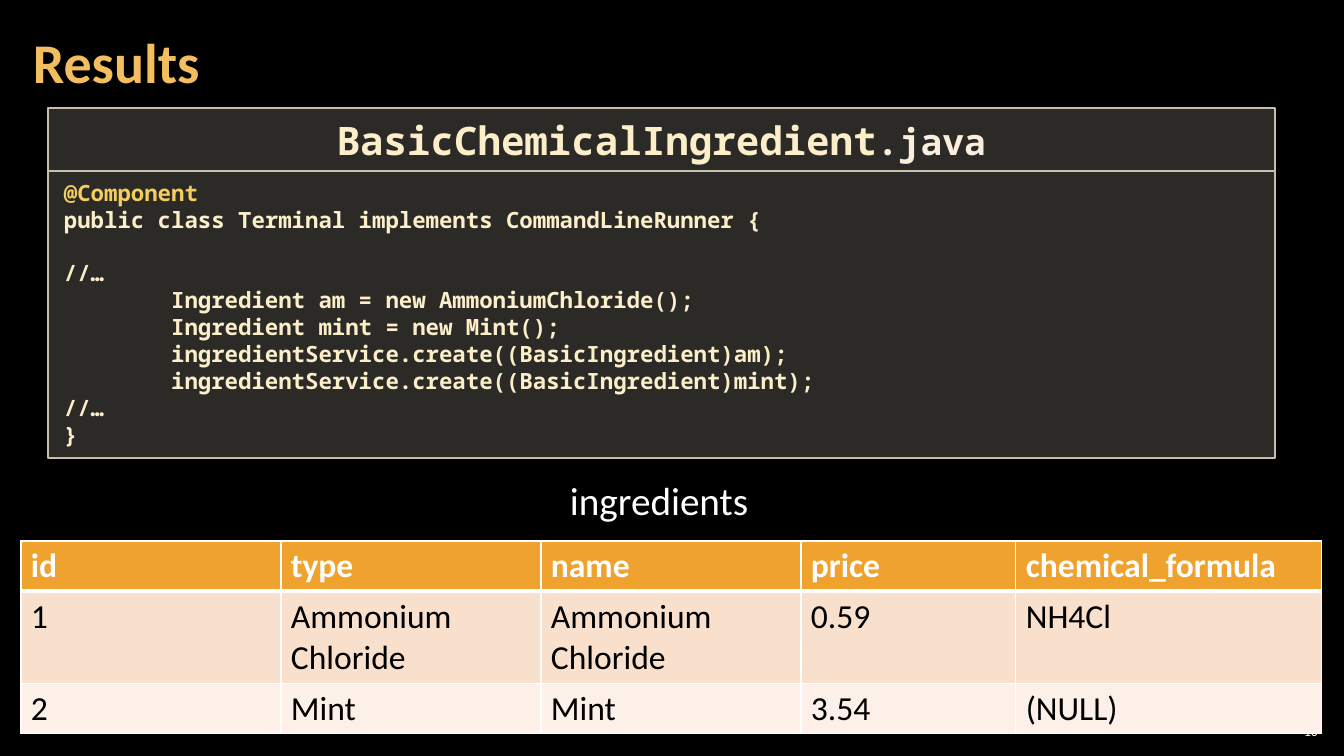
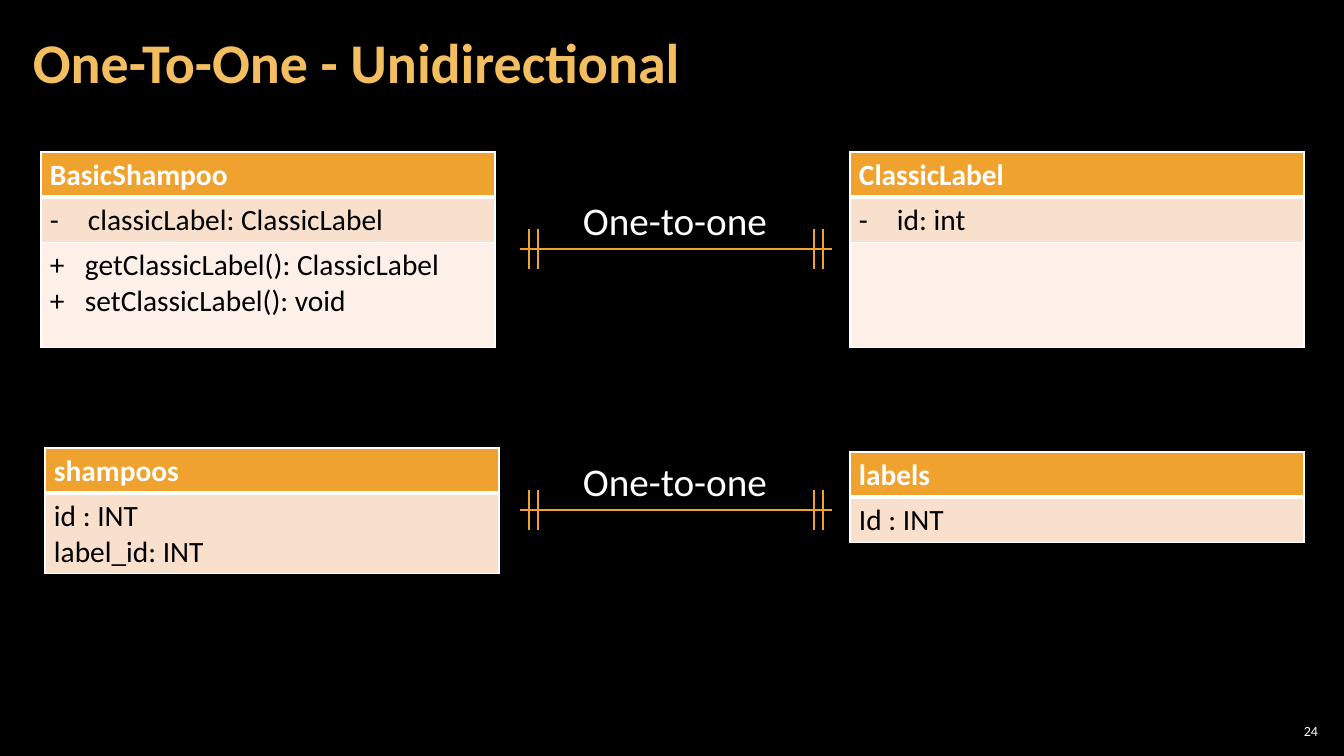
from lxml import etree
from pptx import Presentation
from pptx.dml.color import RGBColor
from pptx.enum.shapes import MSO_CONNECTOR, MSO_SHAPE
from pptx.enum.text import MSO_ANCHOR, PP_ALIGN
from pptx.oxml.ns import qn
from pptx.util import Emu, Pt

STRAIGHT, RECTANGLE = MSO_CONNECTOR.STRAIGHT, MSO_SHAPE.RECTANGLE
TOP, MIDDLE = MSO_ANCHOR.TOP, MSO_ANCHOR.MIDDLE
LEFT, CENTER, RIGHT = PP_ALIGN.LEFT, PP_ALIGN.CENTER, PP_ALIGN.RIGHT

WIDTH, HEIGHT = 1344, 756
EMU_PER_PX = 12192000 / WIDTH
SANS, MONO = "Calibri", "Noto Sans Mono"
COLORS = {
    "background": "000000", "white": "FFFFFF", "black": "000000",
    "title": "F3BE60", "accent": "F0A22E",
    "band_dark": "F9E0CD", "band_light": "FCF0E8",
    "panel": "D9D5C7", "panel_line": "C7BFAC",
    "code": "FBEEC9", "annotation": "F3CD60", "extension": "FBEEDC",
}
BULLET_INDENT = {"-": 38, "+": 35}


def px(length):
    return Emu(round(length * EMU_PER_PX))


def rgb(name):
    return RGBColor.from_string(COLORS[name])


class Deck:
    def __init__(self):
        self.prs = Presentation()
        self.prs.slide_width, self.prs.slide_height = px(WIDTH), px(HEIGHT)
        self.slide = None

    def new_slide(self, number):
        self.slide = self.prs.slides.add_slide(self.prs.slide_layouts[6])
        background = self.slide.background.fill
        background.solid()
        background.fore_color.rgb = rgb("background")
        self.text([str(number)], 1275, 720, 47, 21, size=10, align=RIGHT,
                  anchor=MIDDLE, margins=(4, 4))

    def style(self, font, size, color, bold=False, face=SANS):
        font.name, font.size, font.bold = face, Pt(size), bold
        font.color.rgb = rgb(color)

    def fill_text(self, frame, lines, size, color, bold=False, face=SANS, align=LEFT):
        """Fill a frame; a line is a string or a (bullet, string) pair."""
        for index, line in enumerate(lines):
            paragraph = frame.add_paragraph() if index else frame.paragraphs[0]
            if isinstance(line, tuple):
                bullet, line = line
                props = paragraph._p.get_or_add_pPr()
                indent = px(BULLET_INDENT[bullet])
                props.set("marL", str(indent))
                props.set("indent", str(-indent))
                etree.SubElement(props, qn("a:buFont")).set("typeface", SANS)
                etree.SubElement(props, qn("a:buChar")).set("char", bullet)
            paragraph.text = line
            paragraph.alignment = align
            self.style(paragraph.font, size, color, bold, face)

    def set_margins(self, frame, across, down):
        frame.margin_left = frame.margin_right = px(across)
        frame.margin_top = frame.margin_bottom = px(down)

    def text(self, lines, x, y, w, h, size=28, color="white", bold=False,
             align=LEFT, anchor=TOP, margins=(10, 5), wrap=True):
        frame = self.slide.shapes.add_textbox(px(x), px(y), px(w), px(h)).text_frame
        frame.word_wrap, frame.vertical_anchor = wrap, anchor
        self.set_margins(frame, *margins)
        self.fill_text(frame, lines, size, color, bold, align=align)
        return frame

    def title(self, title):
        frame = self.text([title], 21, 4, 1055, 122, size=40, color="title",
                          bold=True, anchor=MIDDLE, margins=(12, 4))
        frame.paragraphs[0].line_spacing = 0.9

    def panel(self, x, y, w, h):
        """Add a translucent code panel and return its text frame."""
        shape = self.slide.shapes.add_shape(RECTANGLE, px(x), px(y), px(w), px(h))
        shape.shadow.inherit = False
        shape.fill.solid()
        shape.fill.fore_color.rgb = rgb("panel")
        color = shape._element.spPr.find(qn("a:solidFill"))[0]
        etree.SubElement(color, qn("a:alpha")).set("val", "20000")
        shape.line.color.rgb = rgb("panel_line")
        shape.line.width = Pt(1)
        frame = shape.text_frame
        frame.word_wrap, frame.vertical_anchor = True, TOP
        self.set_margins(frame, 16, 8)
        return frame

    def line(self, x1, y1, x2, y2):
        line = self.slide.shapes.add_connector(STRAIGHT, px(x1), px(y1), px(x2), px(y2))
        line.line.color.rgb = rgb("accent")
        line.line.width = Pt(2)
        etree.SubElement(line._element.spPr, qn("a:effectLst"))

    def borders(self, cell, row):
        """Thin white borders, with a thick rule under the header."""
        widths = {"L": 1, "R": 1, "T": 3 if row == 1 else 1, "B": 3 if row == 0 else 1}
        for side, width in widths.items():
            edge = etree.SubElement(cell._tc.get_or_add_tcPr(), qn(f"a:ln{side}"))
            edge.set("w", str(Pt(width)))
            fill = etree.SubElement(edge, qn("a:solidFill"))
            etree.SubElement(fill, qn("a:srgbClr")).set("val", COLORS["white"])

    def table(self, rows, x, y, widths, heights, size, margins):
        """Each row holds cells; each cell is a list of lines."""
        table = self.slide.shapes.add_table(
            len(rows), len(widths), px(x), px(y), px(sum(widths)), px(sum(heights))).table
        for column, width in zip(table.columns, widths):
            column.width = px(width)
        for r, (cells, height) in enumerate(zip(rows, heights)):
            table.rows[r].height = px(height)
            band = "accent" if r == 0 else "band_dark" if r % 2 else "band_light"
            for c, lines in enumerate(cells):
                cell = table.cell(r, c)
                self.set_margins(cell, *margins)
                self.borders(cell, r)
                cell.fill.solid()
                cell.fill.fore_color.rgb = rgb(band)
                self.fill_text(cell.text_frame, lines, size,
                               "black" if r else "white", bold=r == 0)

    def entity(self, x, y, heights, *sections):
        self.table([[lines] for lines in sections], x, y, [454], heights, 21, (9, 5))

    def one_to_one(self, y):
        """Relation line with a double tick at both ends and a label."""
        self.line(520, y, 832, y)
        for x in (529, 538, 814, 823):
            self.line(x, y - 20, x, y + 20)
        self.text(["One-to-one"], 573, y - 58, 207, 57, wrap=False)


def results(deck):
    deck.new_slide(10)

    # Stored rows
    records = [
        ("id", "type", "name", "price", "chemical_formula"),
        ("1", "Ammonium Chloride", "Ammonium Chloride", "0.59", "NH4Cl"),
        ("2", "Mint", "Mint", "3.54", "(NULL)"),
    ]
    deck.table([[[value] for value in record] for record in records],
               21, 541, [260, 260, 260, 215, 306], [49, 92, 50], 24, (10, 5))
    deck.title("Results")

    # Code listing
    code = [
        "@Component",
        "public class Terminal implements CommandLineRunner {",
        "",
        "//…",
        "        Ingredient am = new AmmoniumChloride();",
        "        Ingredient mint = new Mint();",
        "        ingredientService.create((BasicIngredient)am);",
        "        ingredientService.create((BasicIngredient)mint);",
        "//…",
        "}",
    ]
    listing = deck.panel(48, 171, 1227, 287)
    deck.fill_text(listing, code, 16, "code", bold=True, face=MONO)
    listing.paragraphs[0].font.color.rgb = rgb("annotation")

    # File name
    heading = deck.panel(48, 108, 1227, 63).paragraphs[0]
    heading.alignment = CENTER
    for part, size, color in (("BasicChemicalIngredient", 28, "code"),
                              (".java", 26, "extension")):
        run = heading.add_run()
        run.text = part
        deck.style(run.font, size, color, bold=True, face=MONO)

    deck.text(["ingredients"], 560, 471, 202, 57)


def one_to_one_unidirectional(deck):
    deck.new_slide(24)
    deck.title("One-To-One - Unidirectional")

    # Classes
    class_rows = [44, 45, 105]
    deck.entity(41, 152, class_rows, ["BasicShampoo"],
                [("-", "classicLabel: ClassicLabel")],
                [("+", "getClassicLabel(): ClassicLabel"),
                 ("+", "setClassicLabel(): void")])
    deck.entity(850, 152, class_rows, ["ClassicLabel"], [("-", "id: int")], [])
    deck.one_to_one(249)

    # Database tables
    deck.entity(45, 448, [44, 80], ["shampoos"], ["id : INT", "label_id: INT"])
    deck.entity(850, 452, [44, 45], ["labels"], ["Id : INT"])
    deck.one_to_one(510)


def main():
    deck = Deck()
    results(deck)
    one_to_one_unidirectional(deck)
    deck.prs.save("out.pptx")


if __name__ == "__main__":
    main()
